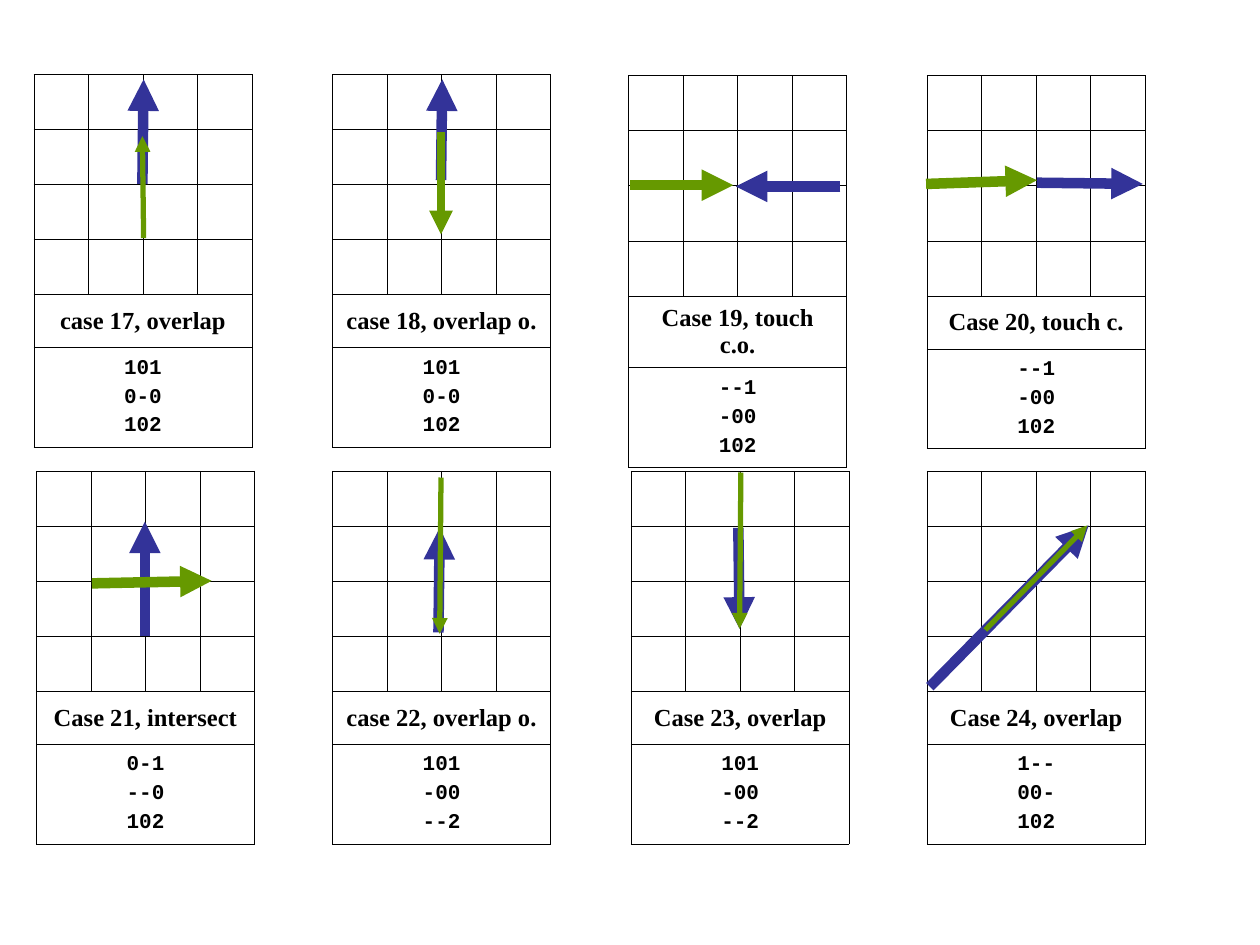
from lxml.etree import SubElement
from pptx import Presentation
from pptx.dml.color import RGBColor
from pptx.enum.shapes import MSO_CONNECTOR as Connector
from pptx.enum.text import MSO_ANCHOR as Anchor, PP_ALIGN as Align
from pptx.oxml import parse_xml
from pptx.oxml.ns import nsdecls, qn
from pptx.util import Inches, Pt

COLORS = {"ink": "000000", "blue": "333399", "green": "669900"}
GRID_SIZE = 4
CASE_WIDTH = 1.73
GRID_HEIGHT = 1.75
CAPTION_HEIGHT = 0.42
TALL_CAPTION_HEIGHT = 0.57
MATRIX_HEIGHT = 0.79

CASES = [
    (0.27, 0.59, "case 17, overlap", "101\n0-0\n102", [
        ("blue", 6, (1.13, 1.46), (1.14, 0.63)),
        ("green", 3, (1.14, 1.89), (1.13, 1.08))]),
    (2.64, 0.59, "case 18, overlap o.", "101\n0-0\n102", [
        ("blue", 6, (3.5, 1.43), (3.51, 0.63)),
        ("green", 4.5, (3.5, 1.05), (3.5, 1.86))]),
    (4.99, 0.6, "Case 19, touch c.o.", "--1\n-00\n102", [
        ("blue", 6, (6.67, 1.48), (5.84, 1.48)),
        ("green", 6, (5, 1.47), (5.82, 1.47))]),
    (7.36, 0.6, "Case 20, touch c.", "--1\n-00\n102", [
        ("blue", 6, (8.23, 1.45), (9.07, 1.46)),
        ("green", 6, (7.35, 1.46), (8.23, 1.43))]),
    (0.29, 3.74, "Case 21, intersect", "0-1\n--0\n102", [
        ("blue", 6, (1.15, 5.05), (1.15, 4.14)),
        ("green", 6, (0.73, 4.63), (1.68, 4.61))]),
    (2.64, 3.74, "case 22, overlap o.", "101\n-00\n--2", [
        ("blue", 6, (3.48, 5.02), (3.49, 4.19)),
        ("green", 3, (3.5, 3.79), (3.49, 5.03))]),
    (5.01, 3.74, "Case 23, overlap", "101\n-00\n--2", [
        ("blue", 6, (5.86, 4.19), (5.87, 4.99)),
        ("green", 3, (5.88, 3.75), (5.87, 4.99))]),
    (7.36, 3.74, "Case 24, overlap", "1--\n00-\n102", [
        ("blue", 6, (7.38, 5.45), (8.64, 4.17)),
        ("green", 3, (7.82, 5), (8.63, 4.17))]),
]


def outline_cell(cell):
    cell.fill.background()
    properties = cell._tc.get_or_add_tcPr()
    for position, side in enumerate(("lnL", "lnR", "lnT", "lnB")):
        properties.insert(position, parse_xml(
            f'<a:{side} {nsdecls("a")} w="{Pt(0.45)}"><a:solidFill>'
            f'<a:srgbClr val="{COLORS["ink"]}"/></a:solidFill></a:{side}>'))


def write_cell(cell, text, font_name, size):
    cell.vertical_anchor = Anchor.MIDDLE
    cell.text_frame.text = text
    for index, paragraph in enumerate(cell.text_frame.paragraphs):
        paragraph.alignment = Align.CENTER
        paragraph.space_before = Pt(3 if index else 0)
        for run in paragraph.runs:
            run.font.name = font_name
            run.font.size = Pt(size)
            run.font.bold = True
            run.font.color.rgb = RGBColor.from_string(COLORS["ink"])


def add_case_table(slide, left, top, caption, matrix, caption_height):
    heights = [GRID_HEIGHT / GRID_SIZE] * GRID_SIZE + [caption_height, MATRIX_HEIGHT]
    table = slide.shapes.add_table(
        len(heights), GRID_SIZE, Inches(left), Inches(top),
        Inches(CASE_WIDTH), Inches(sum(heights))).table
    table.first_row = False
    table.horz_banding = False
    for column in table.columns:
        column.width = Inches(CASE_WIDTH / GRID_SIZE)
    for row, height in zip(table.rows, heights):
        row.height = Inches(height)
    for cell in table.iter_cells():
        outline_cell(cell)
    contents = [(caption, "Times New Roman", 14), (matrix, "Courier New", 12)]
    for row, content in enumerate(contents, start=GRID_SIZE):
        merged = table.cell(row, 0)
        merged.merge(table.cell(row, GRID_SIZE - 1))
        write_cell(merged, *content)


def add_arrow(slide, color, width, start, end):
    arrow = slide.shapes.add_connector(
        Connector.STRAIGHT, *(Inches(value) for value in start + end))
    arrow.line.color.rgb = RGBColor.from_string(COLORS[color])
    arrow.line.width = Pt(width)
    SubElement(arrow.line._get_or_add_ln(), qn("a:tailEnd"), type="triangle")
    SubElement(arrow._element.spPr, qn("a:effectLst"))


def main():
    presentation = Presentation()
    presentation.slide_width = Inches(10)
    presentation.slide_height = Inches(7.5)
    slide = presentation.slides.add_slide(presentation.slide_layouts[6])
    for left, top, caption, matrix, arrows in CASES:
        wraps = caption == "Case 19, touch c.o."
        caption_height = TALL_CAPTION_HEIGHT if wraps else CAPTION_HEIGHT
        add_case_table(slide, left, top, caption, matrix, caption_height)
        for arrow in arrows:
            add_arrow(slide, *arrow)
    presentation.save("out.pptx")


if __name__ == "__main__":
    main()
